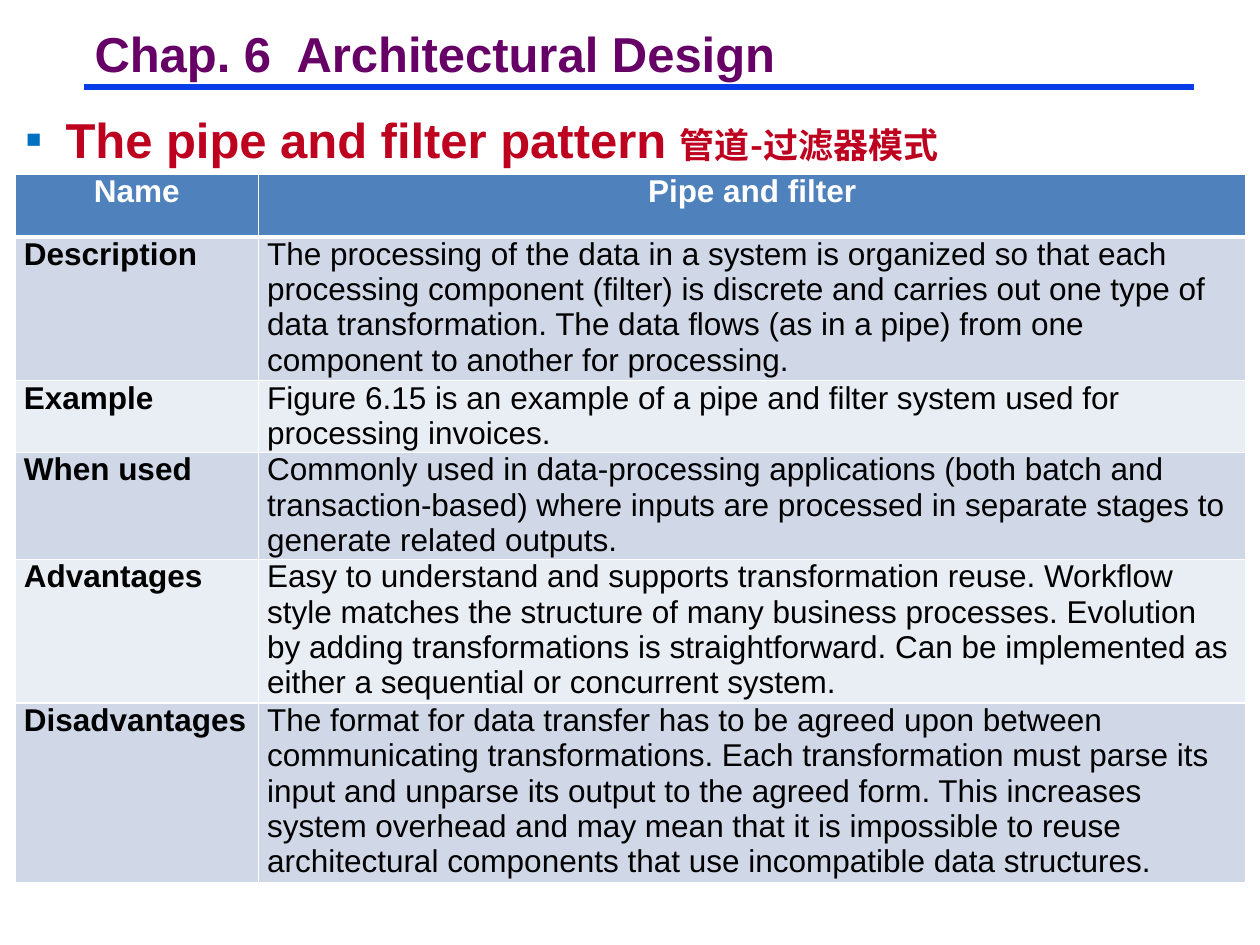
import pptx
import pptx.dml.color
import pptx.enum.shapes
import pptx.enum.text
import pptx.oxml
import pptx.oxml.ns
import pptx.util
from lxml import etree

Inches = pptx.util.Inches
Pt = pptx.util.Pt
RGBColor = pptx.dml.color.RGBColor
ALIGN = pptx.enum.text.PP_ALIGN
ANCHOR = pptx.enum.text.MSO_ANCHOR
qn = pptx.oxml.ns.qn

PURPLE = RGBColor(0x66, 0x00, 0x66)
RED = RGBColor(0xBD, 0x01, 0x1E)
BULLET_BLUE = RGBColor(0x00, 0x70, 0xC0)
RULE_BLUE = RGBColor(0x06, 0x3D, 0xE8)
HEADER_BLUE = RGBColor(0x4F, 0x81, 0xBD)
BANDS = (RGBColor(0xD0, 0xD8, 0xE8), RGBColor(0xE9, 0xED, 0xF4))
WHITE = RGBColor(0xFF, 0xFF, 0xFF)
BLACK = RGBColor(0x00, 0x00, 0x00)

HEADER = ("Name", "Pipe and filter")
ROWS = [
    ("Description", "The processing of the data in a system is organized so that each "
     "processing component (filter) is discrete and carries out one type of data "
     "transformation. The data flows (as in a pipe) from one component to another "
     "for processing."),
    ("Example", "Figure 6.15 is an example of a pipe and filter system used for "
     "processing invoices."),
    ("When used", "Commonly used in data-processing applications (both batch and "
     "transaction-based) where inputs are processed in separate stages to generate "
     "related outputs."),
    ("Advantages", "Easy to understand and supports transformation reuse. Workflow style "
     "matches the structure of many business processes. Evolution by adding "
     "transformations is straightforward. Can be implemented as either a sequential "
     "or concurrent system."),
    ("Disadvantages", "The format for data transfer has to be agreed upon between "
     "communicating transformations. Each transformation must parse its input and "
     "unparse its output to the agreed form. This increases system overhead and may "
     "mean that it is impossible to reuse architectural components that use "
     "incompatible data structures."),
]
COL_WIDTHS = (1.93, 7.84)
ROW_HEIGHTS = (0.5, 1.14, 0.57, 0.85, 1.14, 1.43)


def apply(target, values):
    for name, value in values.items():
        setattr(target, name, value)


class SlideBuilder:
    font = "Arial"
    heading_size = Pt(28)
    table_size = Pt(18)

    def __init__(self, slide):
        self.s = slide

    def place(self, sp, left, top, width, height):
        apply(sp, dict(left=Inches(left), top=Inches(top),
                       width=Inches(width), height=Inches(height)))

    def run(self, p, text, size, color, bold=True, east_asian=None):
        r = p.add_run()
        r.text = text
        apply(r.font, dict(name=east_asian or self.font, size=size, bold=bold))
        r.font.color.rgb = color
        if east_asian:
            etree.SubElement(r.font._element, qn("a:ea"), typeface=east_asian)

    def title(self, text, *box):
        sp = self.s.shapes.title
        self.place(sp, *box)
        tf = sp.text_frame
        apply(tf, dict(word_wrap=False, vertical_anchor=ANCHOR.MIDDLE,
                       margin_left=Inches(0.07), margin_right=Inches(0.07),
                       margin_top=Inches(0.03), margin_bottom=Inches(0.03)))
        p = tf.paragraphs[0]
        apply(p, dict(alignment=ALIGN.LEFT, line_spacing=0.87))
        self.run(p, text, self.heading_size, PURPLE)

    def bullet_heading(self, text, translation, *box):
        sp = self.s.placeholders[1]
        self.place(sp, *box)
        tf = sp.text_frame
        apply(tf, dict(word_wrap=True, margin_top=Inches(0.1), margin_bottom=0,
                       auto_size=pptx.enum.text.MSO_AUTO_SIZE.NONE))
        p = tf.paragraphs[0]
        p.space_before = Pt(0)
        pPr = p._p.get_or_add_pPr()
        indent = Inches(0.32)
        pPr.set("marL", str(indent))
        pPr.set("indent", str(-indent))
        color = etree.SubElement(pPr, qn("a:buClr"))
        etree.SubElement(color, qn("a:srgbClr"), val=str(BULLET_BLUE))
        etree.SubElement(pPr, qn("a:buFont"), typeface=self.font)
        etree.SubElement(pPr, qn("a:buChar"), char="▪")
        self.run(p, text, self.heading_size, RED)
        self.run(p, translation, Pt(20), RED, east_asian="Noto Sans CJK SC")

    def rule(self, x1, x2, y):
        line = self.s.shapes.add_connector(
            pptx.enum.shapes.MSO_CONNECTOR.STRAIGHT,
            Inches(x1), Inches(y), Inches(x2), Inches(y))
        line.line.color.rgb = RULE_BLUE
        line.line.width = Pt(3.75)
        etree.SubElement(line._element.spPr, qn("a:effectLst"))

    def borders(self, cell, bottom):
        tcPr = cell._tc.get_or_add_tcPr()
        widths = dict(lnL=1, lnR=1, lnT=1, lnB=bottom)
        for i, (tag, width) in enumerate(widths.items()):
            ln = etree.Element(qn("a:" + tag), w=str(Pt(width)))
            fill = etree.SubElement(ln, qn("a:solidFill"))
            etree.SubElement(fill, qn("a:srgbClr"), val=str(WHITE))
            tcPr.insert(i, ln)

    def cell(self, cell, text, fill, color, bold, align, bottom):
        apply(cell, dict(margin_left=Inches(0.07), margin_right=Inches(0.07),
                         margin_top=0, margin_bottom=0, vertical_anchor=ANCHOR.TOP))
        cell.fill.solid()
        cell.fill.fore_color.rgb = fill
        self.borders(cell, bottom)
        p = cell.text_frame.paragraphs[0]
        p.alignment = align
        self.run(p, text, self.table_size, color, bold)

    def table(self, left, top, header, rows, col_widths, row_heights):
        table = self.s.shapes.add_table(
            len(row_heights), len(col_widths), Inches(left), Inches(top),
            Inches(sum(col_widths)), Inches(sum(row_heights))).table
        for column, width in zip(table.columns, col_widths):
            column.width = Inches(width)
        for row, height in zip(table.rows, row_heights):
            row.height = Inches(height)
        for j, text in enumerate(header):
            self.cell(table.cell(0, j), text, HEADER_BLUE, WHITE, True, ALIGN.CENTER, 3)
        for i, row in enumerate(rows):
            for j, text in enumerate(row):
                self.cell(table.cell(i + 1, j), text, BANDS[i % 2], BLACK,
                          j == 0, ALIGN.LEFT, 1)


def main():
    prs = pptx.Presentation()
    apply(prs, dict(slide_width=Inches(10), slide_height=Inches(7.5)))
    builder = SlideBuilder(prs.slides.add_slide(prs.slide_layouts[1]))
    builder.rule(0.67, 9.48, 0.69)
    builder.bullet_heading("The pipe and filter pattern ", "管道-过滤器模式",
                           0.1, 0.77, 9.82, 0.61)
    builder.title("Chap. 6  Architectural Design", 0.68, 0.22, 5.56, 0.46)
    builder.table(0.12, 1.38, HEADER, ROWS, COL_WIDTHS, ROW_HEIGHTS)
    prs.save("out.pptx")


if __name__ == "__main__":
    main()
